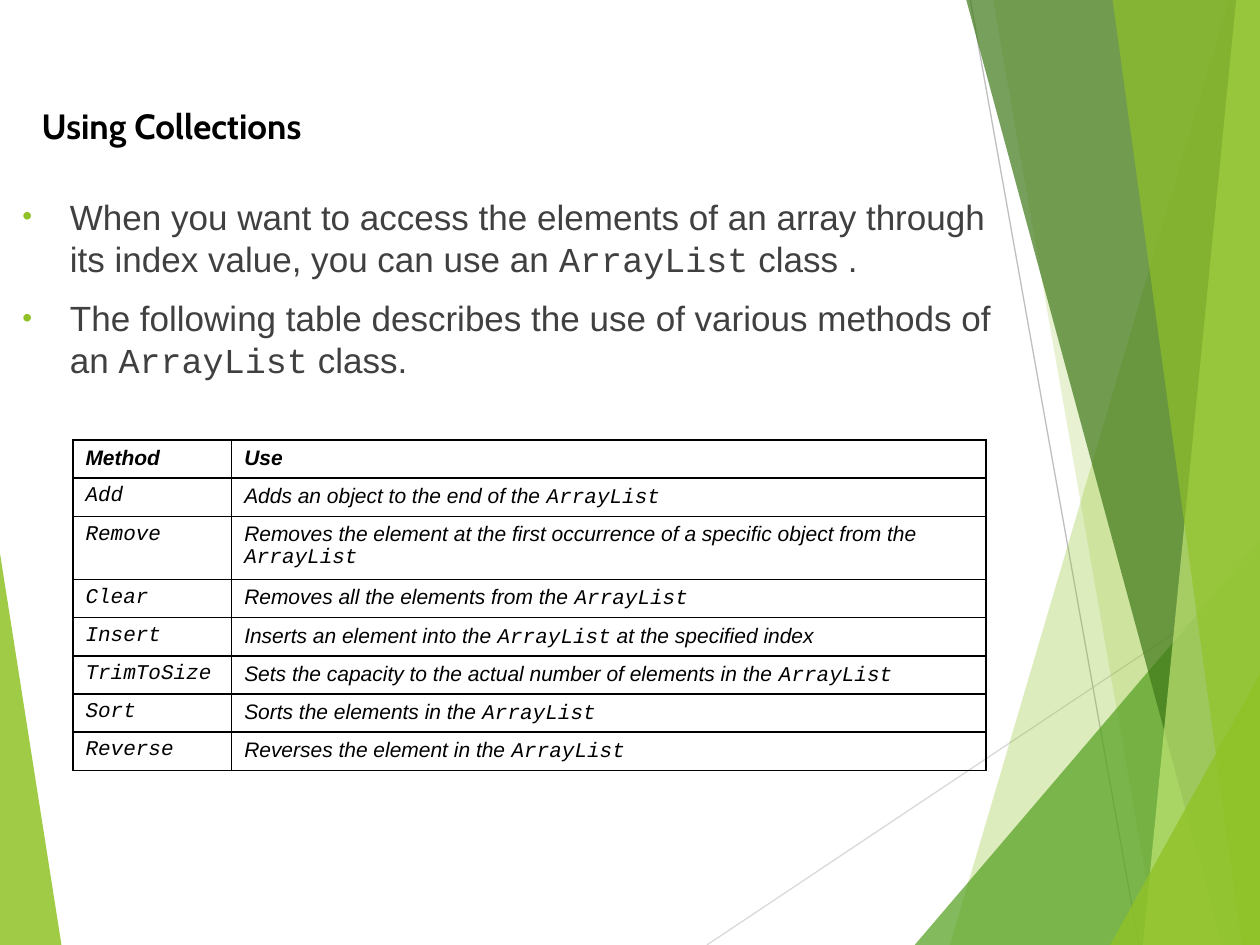
from lxml import etree
from pptx import Presentation
from pptx.dml.color import RGBColor
from pptx.enum import shapes
from pptx.oxml import ns
from pptx.util import Cm, Pt

W, H = 25.4, 19.05
THEME = {
    "sans": "Arial", "mono": "Courier New", "display": "Cabin",
    "ink": "000000", "body": "404040", "accent": "90C226",
    "green": "54A021", "dark": "3F7819", "pale": "C0E474",
    "line_light": "D9D9D9", "line_mid": "BFBFBF",
    "title_size": 20, "body_size": 20, "table_size": 12,
}
CODE = "ArrayList"
TITLE = "Using Collections"
BULLETS = [
    "When you want to access the elements of an array through its index value, "
    "you can use an ArrayList class .",
    "The following table describes the use of various methods of an ArrayList class.",
]
HEADER = ("Method", "Use")
METHODS = [
    ("Add", "Adds an object to the end of the ArrayList"),
    ("Remove", "Removes the element at the first occurrence of a specific object from the ArrayList"),
    ("Clear", "Removes all the elements from the ArrayList"),
    ("Insert", "Inserts an element into the ArrayList at the specified index"),
    ("TrimToSize", "Sets the capacity to the actual number of elements in the ArrayList"),
    ("Sort", "Sorts the elements in the ArrayList"),
    ("Reverse", "Reverses the element in the ArrayList"),
]
COLUMN_WIDTHS = (3.2, 15.21)
ROW_HEIGHT, TALL_ROW_HEIGHT = 0.77, 1.27
LEFT_WEDGE = ([(0, 11.15), (1.24, H), (0, H)], "accent", 85)
RAYS = [((14.25, H), (W, 11.61), "line_light"), ((19.56, 0), (22.96, H), "line_mid")]
RIGHT_FACETS = [
    ([(24.77, 0), (19.15, H), (W, H), (W, 0)], "accent", 30),
    ([(20.02, 0), (23.34, H), (W, H), (W, 0)], "accent", 20),
    ([(18.44, H), (W, 10.9), (W, H)], "green", 72),
    ([(19.48, 0), (24.64, H), (W, H), (W, 0)], "dark", 70),
    ([(24.92, 0), (23.04, H), (W, H), (W, 0)], "pale", 70),
    ([(22.43, 0), (25.04, H), (W, H), (W, 0)], "accent", 65),
    ([(22.38, H), (W, 13.59), (W, H)], "accent", 80),
]


def color(name):
    return RGBColor.from_string(THEME[name])


def child(parent, tag, **attributes):
    return etree.SubElement(parent, ns.qn(tag), attributes)


def add_facet(page, points, fill, opacity):
    corners = [(Cm(x), Cm(y)) for x, y in points]
    builder = page.shapes.build_freeform(*corners[0])
    builder.add_line_segments(corners[1:], close=True)
    facet = builder.convert_to_shape()
    facet.shadow.inherit = False
    facet.fill.solid()
    facet.fill.fore_color.rgb = color(fill)
    facet.line.fill.background()
    tint = facet._element.spPr.find(".//" + ns.qn("a:srgbClr"))
    child(tint, "a:alpha", val=str(opacity * 1000))


def add_ray(page, start, end, stroke):
    ray = page.shapes.add_connector(
        shapes.MSO_CONNECTOR.STRAIGHT, *(Cm(value) for value in start + end))
    ray.line.color.rgb = color(stroke)
    ray.line.width = Pt(0.75)
    child(ray._element.spPr, "a:effectLst")


def add_box(page, left, top, width, height):
    box = page.shapes.add_textbox(Cm(left), Cm(top), Cm(width), Cm(height))
    box.text_frame.word_wrap = True
    return box.text_frame


def add_span(para, words, ink, **format_values):
    span = para.add_run()
    span.text = words
    span.font.color.rgb = color(ink)
    for name, value in format_values.items():
        setattr(span.font, name, value)


def add_mixed(para, sentence, ink, **format_values):
    before, code, after = sentence.partition(CODE)
    for words, face in ((before, "sans"), (code, "mono"), (after, "sans")):
        if words:
            add_span(para, words, ink, name=THEME[face], **format_values)


def add_bullet(para):
    properties = para._p.get_or_add_pPr()
    properties.set("marL", str(Cm(0.96)))
    properties.set("indent", str(Cm(-0.96)))
    child(child(properties, "a:buClr"), "a:srgbClr", val=THEME["accent"])
    child(properties, "a:buSzPct", val="80000")
    child(properties, "a:buFont", typeface=THEME["sans"])
    child(properties, "a:buChar", char="•")


def style_cell(cell):
    properties = cell._tc.get_or_add_tcPr()
    for side in ("a:lnL", "a:lnR", "a:lnT", "a:lnB"):
        border = child(properties, side, w=str(Pt(1)))
        child(child(border, "a:solidFill"), "a:srgbClr", val=THEME["ink"])
    cell.fill.background()


def add_methods_table(page):
    rows = [HEADER] + METHODS
    heights = [TALL_ROW_HEIGHT if row[0] == "Remove" else ROW_HEIGHT for row in rows]
    table = page.shapes.add_table(
        len(rows), len(HEADER), Cm(1.47), Cm(8.87),
        Cm(sum(COLUMN_WIDTHS)), Cm(sum(heights))).table
    table.horz_banding = False
    for column, width in zip(table.columns, COLUMN_WIDTHS):
        column.width = Cm(width)
    for row, height in zip(table.rows, heights):
        row.height = Cm(height)
    for r, row in enumerate(rows):
        for c, words in enumerate(row):
            cell = table.cell(r, c)
            style_cell(cell)
            para = cell.text_frame.paragraphs[0]
            look = {"size": Pt(THEME["table_size"]), "bold": r == 0, "italic": True}
            if r and c == 0:
                add_span(para, words, "ink", name=THEME["mono"], **look)
            else:
                add_mixed(para, words, "ink", **look)


def main():
    deck = Presentation()
    deck.slide_width, deck.slide_height = Cm(W), Cm(H)
    page = deck.slides.add_slide(deck.slide_layouts[6])

    add_facet(page, *LEFT_WEDGE)
    for ray in RAYS:
        add_ray(page, *ray)
    for facet in RIGHT_FACETS:
        add_facet(page, *facet)

    title = add_box(page, 0.43, 1.98, 24.33, 1.09)
    title.margin_left = Cm(0.41)
    add_span(title.paragraphs[0], TITLE, "ink", name=THEME["display"],
             size=Pt(THEME["title_size"]), bold=True)

    body = add_box(page, 0.2, 3.81, 20.32, 12.7)
    for index, sentence in enumerate(BULLETS):
        para = body.add_paragraph() if index else body.paragraphs[0]
        add_bullet(para)
        if index:
            para.space_before = Pt(10)
        add_mixed(para, sentence, "body", size=Pt(THEME["body_size"]))

    add_methods_table(page)
    deck.save("out.pptx")


if __name__ == "__main__":
    main()
